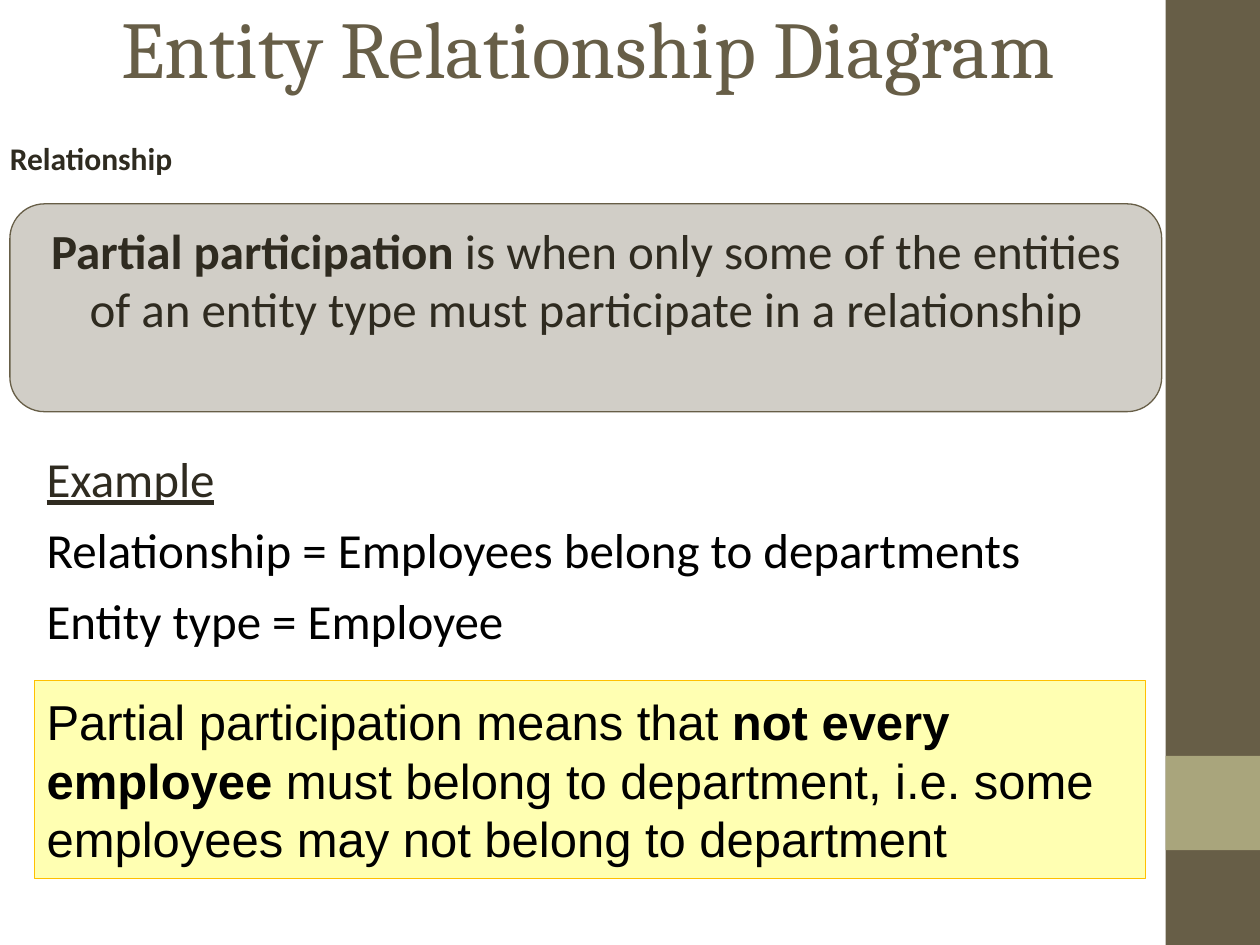
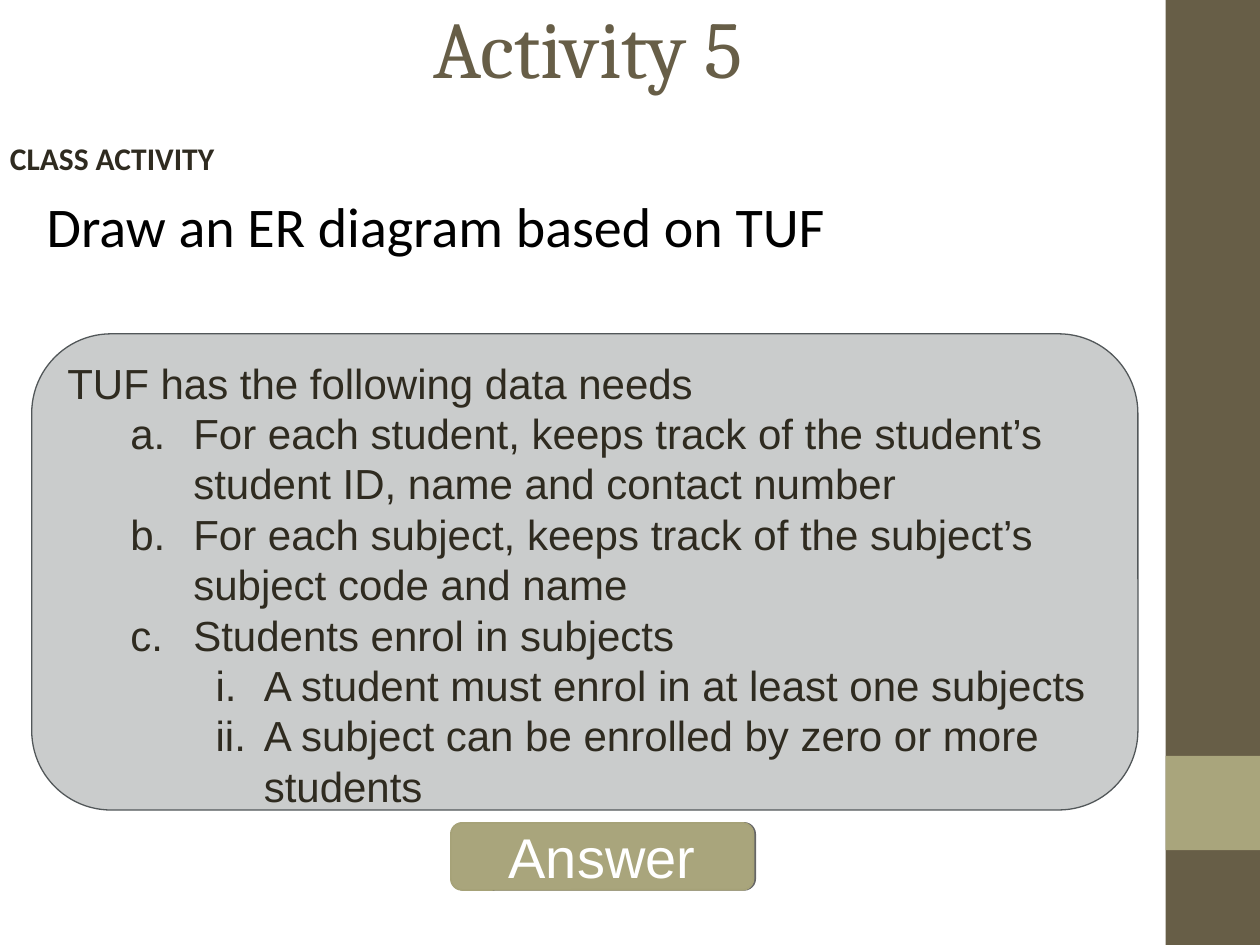
import pptx
import pptx.dml.color
import pptx.enum.shapes
import pptx.enum.text
import pptx.oxml.ns
import pptx.util
from lxml import etree

Cm = pptx.util.Cm
Pt = pptx.util.Pt
RGBColor = pptx.dml.color.RGBColor
Shapes = pptx.enum.shapes.MSO_SHAPE
Align = pptx.enum.text.PP_ALIGN
Anchor = pptx.enum.text.MSO_ANCHOR
qn = pptx.oxml.ns.qn

BROWN = RGBColor(0x67, 0x5E, 0x47)
OLIVE = RGBColor(0xA9, 0xA5, 0x7C)
OLIVE_EDGE = RGBColor(0xA6, 0xA2, 0x78)
INK = RGBColor(0x2F, 0x2B, 0x20)
SLATE = RGBColor(0x52, 0x57, 0x59)
YELLOW = RGBColor(0xFF, 0xFF, 0x00)
AMBER = RGBColor(0xFF, 0xC0, 0x00)
BLACK = RGBColor(0, 0, 0)
WHITE = RGBColor(0xFF, 0xFF, 0xFF)

TEXT_LEFT = 0.69
NUMBERING = {
    1: ("alphaLcPeriod", 2.54, -1.27),
    2: ("romanLcPeriod", 3.96, -0.97),
}


def add_numbering(para, level):
    scheme, margin, indent = NUMBERING[level]
    para.level = level
    properties = para._p.get_or_add_pPr()
    properties.set("marL", str(Cm(margin)))
    properties.set("indent", str(Cm(indent)))
    color = etree.SubElement(properties, qn("a:buClr"))
    etree.SubElement(color, qn("a:srgbClr"), val=str(INK))
    etree.SubElement(properties, qn("a:buAutoNum"), type=scheme)


def write(frame, text, size=28, font="Calibri", color=INK, align=Align.LEFT,
          before=0, line_height=None, underline=False, level=0):
    """Add a paragraph; words between asterisks are bold."""
    para = frame.add_paragraph() if frame.text else frame.paragraphs[0]
    para.alignment = align
    para.space_before = Pt(before)
    if line_height:
        para.line_spacing = Pt(line_height)
    if level:
        add_numbering(para, level)
    for index, words in enumerate(text.split("*")):
        if words:
            span = para.add_run()
            span.text = words
            span.font.name = font
            span.font.size = Pt(size)
            span.font.color.rgb = color
            span.font.bold = index % 2 == 1
            span.font.underline = underline


def add_panel(page, kind, left, top, width, height, fill, line=None,
              weight=0.75, alpha=None, anchor=Anchor.TOP):
    panel = page.shapes.add_shape(kind, Cm(left), Cm(top), Cm(width), Cm(height))
    panel.shadow.inherit = False
    panel.fill.solid()
    panel.fill.fore_color.rgb = fill
    if alpha:
        tint = panel.element.spPr.find(qn("a:solidFill")).find(qn("a:srgbClr"))
        etree.SubElement(tint, qn("a:alpha"), val=str(alpha * 1000))
    if line is None:
        panel.line.fill.background()
    else:
        panel.line.color.rgb = line
        panel.line.width = Pt(weight)
    panel.text_frame.word_wrap = True
    panel.text_frame.vertical_anchor = anchor
    return panel


def add_side_shadow(shape):
    effects = shape.element.spPr.find(qn("a:effectLst"))
    shadow = etree.SubElement(effects, qn("a:outerShdw"), blurRad="0",
                              dist=str(Pt(1)), dir="0")
    color = etree.SubElement(shadow, qn("a:srgbClr"), val=str(BLACK))
    etree.SubElement(color, qn("a:alpha"), val="60000")


def add_text(page, left, top, width, height):
    box = page.shapes.add_textbox(Cm(left), Cm(top), Cm(width), Cm(height))
    box.text_frame.word_wrap = True
    return box.text_frame


def add_page(deck, title, heading):
    page = deck.slides.add_slide(deck.slide_layouts[5])
    holder = page.shapes.title
    holder.left, holder.top = Cm(1.27), Cm(0)
    holder.width, holder.height = Cm(21.16), Cm(1.87)
    holder.text_frame.auto_size = pptx.enum.text.MSO_AUTO_SIZE.NONE
    holder.text_frame.vertical_anchor = Anchor.MIDDLE
    write(holder.text_frame, title, size=46, font="Cambria", color=BROWN,
          align=Align.CENTER)
    frame = add_text(page, 0, 2.92, 22.7, 0.89)
    frame.margin_left = frame.margin_right = Cm(0.2)
    frame.margin_top = frame.margin_bottom = 0
    write(frame, f"*{heading}*", size=18, line_height=18)
    return page


def add_master_bands(deck, page):
    tree = deck.slide_master.element.cSld.spTree
    for top, height, color in ((0, 19.05, BROWN), (15.24, 1.9, OLIVE)):
        band = add_panel(page, Shapes.RECTANGLE, 23.5, top, 1.9, height, color)
        tree.append(band.element)


def fill_participation(page):
    definition = add_panel(page, Shapes.ROUNDED_RECTANGLE, 0.2, 4.11, 23.22, 4.19,
                           BROWN, line=BROWN, alpha=30)
    write(definition.text_frame,
          "*Partial participation *is when only some of the entities "
          "of an entity type must participate in a relationship",
          align=Align.CENTER)

    example = add_text(page, TEXT_LEFT, 8.92, 22.4, 4.6)
    write(example, "Example", underline=True)
    for text in ("Relationship = Employees belong to departments",
                 "Entity type = Employee"):
        write(example, text, color=BLACK, before=7)

    meaning = add_panel(page, Shapes.RECTANGLE, TEXT_LEFT, 13.72, 22.4, 3.99,
                        YELLOW, line=AMBER, alpha=30, anchor=Anchor.MIDDLE)
    write(meaning.text_frame,
          "Partial participation means that *not every employee *must belong "
          "to department, i.e. some employees may not belong to department",
          font="Arial", color=BLACK)


def fill_activity(page):
    task = add_text(page, TEXT_LEFT, 3.73, 22.4, 3)
    write(task, "Draw an ER diagram based on TUF", size=32, color=BLACK)

    answer = add_panel(page, Shapes.ROUNDED_RECTANGLE, 9.09, 16.59, 6.1, 1.35,
                       OLIVE, line=OLIVE_EDGE, weight=1, anchor=Anchor.MIDDLE)
    add_side_shadow(answer)
    write(answer.text_frame, "Answer", size=32, font="Arial", color=WHITE,
          align=Align.CENTER)

    needs = add_panel(page, Shapes.ROUNDED_RECTANGLE, 0.64, 6.73, 22.3, 9.6,
                      SLATE, line=SLATE, alpha=30)
    needs.text_frame.margin_top = 0
    for level, text in (
        (0, "TUF has the following data needs"),
        (1, "For each student, keeps track of the student’s student ID, "
            "name and contact number"),
        (1, "For each subject, keeps track of the subject’s subject code and name"),
        (1, "Students enrol in subjects"),
        (2, "A student must enrol in at least one subjects"),
        (2, "A subject can be enrolled by zero or more students"),
    ):
        write(needs.text_frame, text, size=24, font="Arial", level=level)


def main():
    deck = pptx.Presentation()
    deck.slide_width, deck.slide_height = Cm(25.4), Cm(19.05)
    participation = add_page(deck, "Entity Relationship Diagram", "Relationship")
    add_master_bands(deck, participation)
    fill_participation(participation)
    fill_activity(add_page(deck, "Activity 5", "CLASS ACTIVITY"))
    deck.save("out.pptx")


if __name__ == "__main__":
    main()
